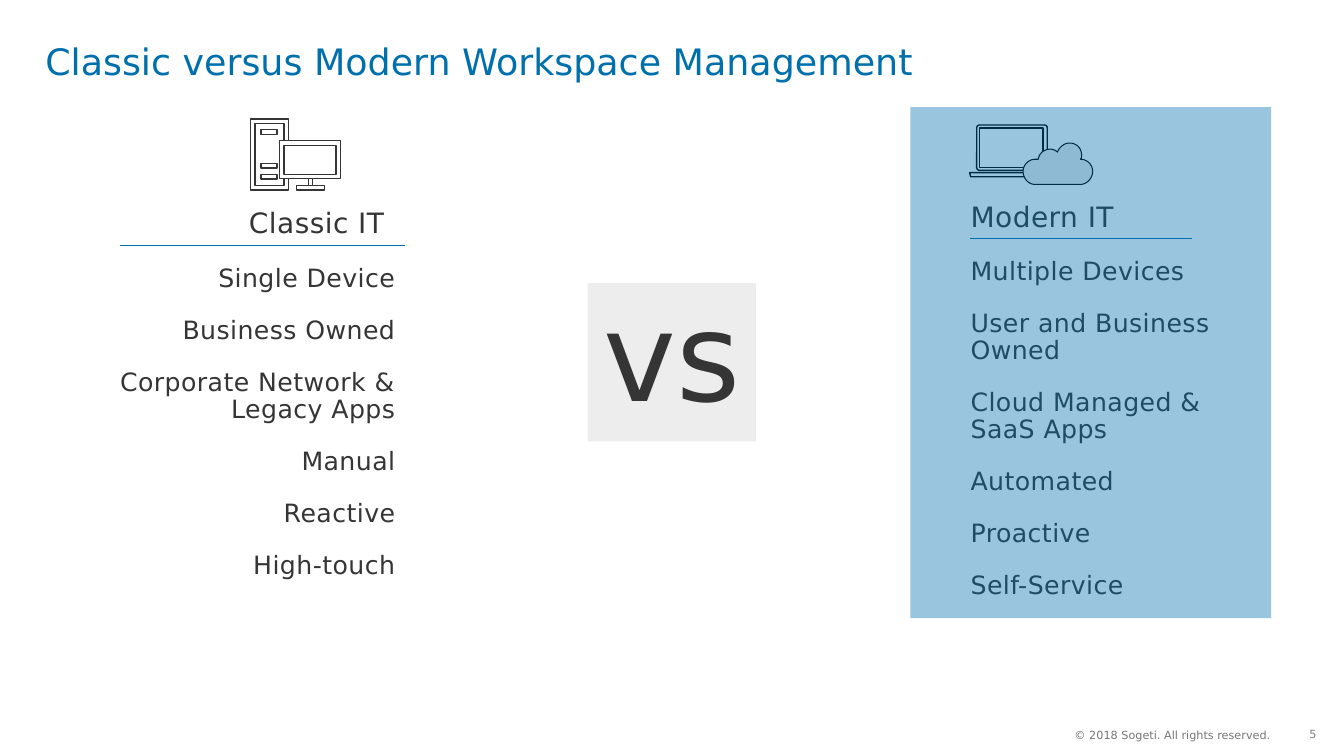
"""Build the slide comparing classic and modern workspace management."""
from lxml.etree import SubElement
from pptx import Presentation
from pptx.dml.color import RGBColor
from pptx.enum.shapes import MSO_CONNECTOR, MSO_SHAPE
from pptx.enum.text import MSO_ANCHOR, PP_ALIGN
from pptx.oxml.ns import qn
from pptx.util import Pt

FONT = "DejaVu Sans"
BLUE, DARK, PALE, BLACK, WHITE = "0070AD", "353535", "EDEDED", "000000", "FFFFFF"
LEFT, RIGHT, MID = PP_ALIGN.LEFT, PP_ALIGN.RIGHT, PP_ALIGN.CENTER
INSET = (7.2, 3.6, 7.2, 3.6)
GAP = 17.6

TITLE = "Classic versus Modern Workspace Management"
FOOTER = "© 2018 Sogeti. All rights reserved."
PAGE = "5"
SIDES = [
    dict(head="Classic IT", place=(61.9, 146.2, 219.6, 28.8), align=RIGHT,
         rule=(85.7, 289.4, 175), body=(61.9, 186.5, 227.5, 235.4),
         items=["Single Device", "Business Owned",
                "Corporate Network & Legacy Apps",
                "Manual", "Reactive", "High-touch"]),
    dict(head="Modern IT", place=(686.2, 141.8, 186.5, 28.8), align=LEFT,
         rule=(692.6, 851.8, 170.2), body=(686.2, 181.4, 186.5, 254.9),
         items=["Multiple Devices", "User and Business Owned",
                "Cloud Managed &", "SaaS Apps",
                "Automated", "Proactive", "Self-Service"]),
]
LAPTOP = [
    (MSO_SHAPE.RECTANGLE, (699.8, 91.4, 45.4, 28.1)),
    (MSO_SHAPE.ROUNDED_RECTANGLE, (697.7, 89.3, 50.4, 32.4)),
    (MSO_SHAPE.TRAPEZOID, (692.6, 123.4, 61.2, 2.9)),
]
CLOUD = [
    [(771.8, 131.8)] * 2 + [(739.4, 131.8)],
    [(734.4, 131.8), (730.8, 127.4), (730.8, 122.4)],
    [(730.8, 118.1), (734.4, 113.8), (739.4, 113.8)],
    [(740.2, 113.8), (740.9, 113.8), (741.6, 113.8)],
    [(742.3, 109.4), (745.9, 106.6), (750.2, 106.6)],
    [(752.4, 106.6), (753.8, 107.3), (755.3, 108.7)],
    [(756.7, 105.1), (760.3, 102.2), (763.9, 102.2)],
    [(769, 102.2), (772.6, 105.8), (772.6, 110.9)],
    [(772.6, 112.3), (772.6, 113), (771.8, 113.8)],
    [(776.9, 113.8), (780.5, 118.1), (780.5, 122.4)],
    [(780.5, 127.4), (776.2, 131.8), (771.8, 131.8)],
]
TOWER = [(206.2, 135.8), (179, 135.8), (179, 85), (206.2, 85), (206.2, 102.2),
         (203, 102.2), (203, 88.1), (182.2, 88.1), (182.2, 132.6),
         (203, 132.6), (203, 126), (206.2, 126)]
STAND = [(220.3, 126.7, 2.9, 5.8), (211.7, 132.7, 20.2, 3.1)]
SLOTS = [(186.5, top, 11.5, 3.3) for top in (92.7, 116.8, 124.6)]
SCREEN = [(199.6, 100.6, 43.7, 27.1), (202.8, 103.9, 37.3, 20.8)]


def color(code):
    return RGBColor.from_string(code)


def paint(shape, fill=None, line=None, width=1):
    shape.shadow.inherit = False
    if fill:
        shape.fill.solid()
        shape.fill.fore_color.rgb = color(fill)
    else:
        shape.fill.background()
    if line:
        shape.line.color.rgb = color(line)
        shape.line.width = Pt(width)
    else:
        shape.line.fill.background()
    return shape


def draw(slide, kind, place, **look):
    return paint(slide.shapes.add_shape(kind, *map(Pt, place)), **look)


def outline(slide, points, **look):
    spots = [(Pt(x), Pt(y)) for x, y in points]
    pen = slide.shapes.build_freeform(*spots[0])
    pen.add_line_segments(spots[1:], close=True)
    return paint(pen.convert_to_shape(), **look)


def write(shape, items, size, tint, align=LEFT, gap=0, lead=0.9, track=0,
          inset=INSET, anchor=MSO_ANCHOR.TOP, wrap=True):
    frame = shape.text_frame
    frame.word_wrap, frame.vertical_anchor = wrap, anchor
    (frame.margin_left, frame.margin_top,
     frame.margin_right, frame.margin_bottom) = map(Pt, inset)
    frame.text = "\n".join(items)
    for para in frame.paragraphs:
        para.alignment, para.line_spacing = align, lead
        para.space_after = Pt(0 if para.text.endswith("&") else gap)
        font = para.font
        font.name, font.size = FONT, Pt(size)
        font.color.rgb = color(tint)
        if track:
            font._rPr.set("spc", str(track))


def label(slide, place, items, size, tint, **look):
    box = slide.shapes.add_textbox(*map(Pt, place))
    write(box, items, size, tint, **look)


def rule(slide, left, right, top):
    line = slide.shapes.add_connector(
        MSO_CONNECTOR.STRAIGHT, Pt(right), Pt(top), Pt(left), Pt(top))
    line.line.color.rgb = color(BLUE)
    line.line.width = Pt(0.5)
    SubElement(line._element.spPr, qn("a:effectLst"))


def curve(parts, steps=12):
    points = [parts[0][0]]
    for part in parts:
        ends = [points[-1], *part]
        for step in range(1, steps + 1):
            t = step / steps
            mix = ((1 - t) ** 3, 3 * t * (1 - t) ** 2, 3 * t * t * (1 - t), t ** 3)
            points.append(tuple(sum(m * end[axis] for m, end in zip(mix, ends))
                                for axis in (0, 1)))
    return points


def main():
    deck = Presentation()
    deck.slide_width, deck.slide_height = Pt(960), Pt(540)
    slide = deck.slides.add_slide(deck.slide_layouts[6])
    box = MSO_SHAPE.RECTANGLE

    label(slide, (928.1, 516.2, 19.4, 17.3), [PAGE], 8, "808080",
          align=RIGHT, lead=1)
    label(slide, (767.5, 516.2, 203.8, 17.3), [FOOTER], 8, "767676", lead=1,
          inset=(0, 0, 0, 0), anchor=MSO_ANCHOR.MIDDLE)
    label(slide, (32.4, 31.7, 861.8, 68.4), [TITLE], 26, BLUE,
          inset=(0, 0, 0, 0))

    for side in SIDES:
        look = dict(align=side["align"], gap=GAP, track=30)
        label(slide, side["body"], side["items"], 18, DARK, **look)
        label(slide, side["place"], [side["head"]], 20, DARK, **look)
        rule(slide, *side["rule"])

    versus = draw(slide, box, (419.8, 202.3, 120.2, 113), fill=PALE)
    write(versus, ["vs"], 88, DARK, align=MID, gap=4.4,
          inset=(10.8, 8.6, 10.8, 8.6), wrap=False)

    screen, lid, base = [draw(slide, kind, place, line=BLACK)
                         for kind, place in LAPTOP]
    lid.adjustments[0] = 0.06
    base._element.spPr.xfrm.set("flipV", "1")
    outline(slide, curve(CLOUD), fill=PALE, line=BLACK, width=0.75)

    for place in STAND + SLOTS:
        draw(slide, box, place, line=DARK)
    outline(slide, TOWER, line=DARK)
    for place in SCREEN:
        draw(slide, box, place, fill=WHITE, line=DARK)

    panel = draw(slide, box, (650.2, 76.5, 257.8, 365), fill=BLUE)
    tint = panel._element.spPr.find(".//" + qn("a:srgbClr"))
    SubElement(tint, qn("a:alpha"), val="40000")
    deck.save("out.pptx")


if __name__ == "__main__":
    main()
